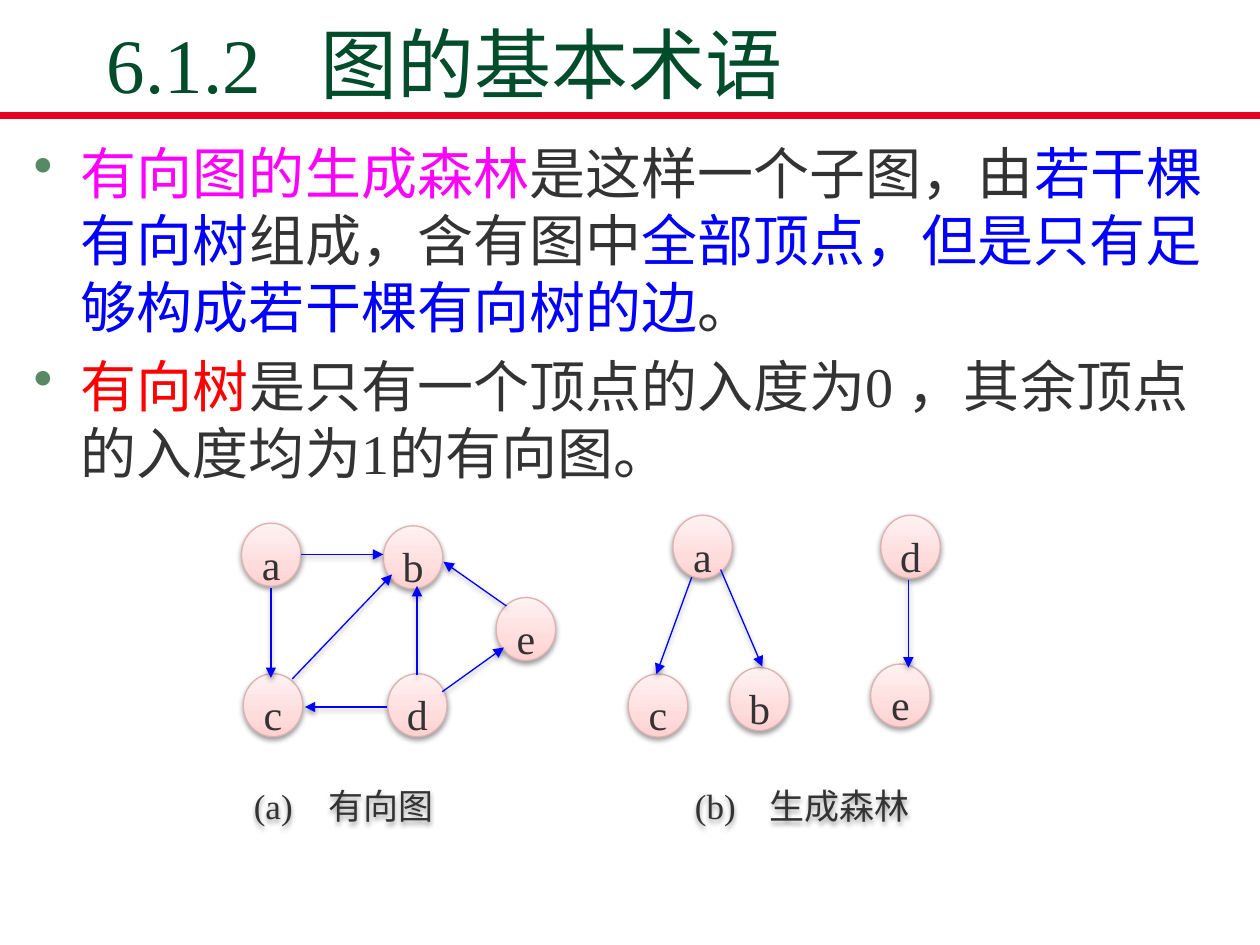
from copy import deepcopy
from dataclasses import dataclass

from lxml.etree import SubElement
from pptx import Presentation
from pptx.dml.color import RGBColor
from pptx.enum.shapes import MSO_CONNECTOR, MSO_SHAPE
from pptx.enum.text import MSO_ANCHOR, PP_ALIGN
from pptx.oxml.ns import qn
from pptx.util import Pt


@dataclass(frozen=True)
class Theme:
    font: str = "Times New Roman"
    title: str = "004C2B"
    rule: str = "E60223"
    ink: str = "333333"
    pink: str = "FF00FF"
    blue: str = "0000FF"
    red: str = "FF0000"
    bullet: str = "578963"
    rim: str = "DDB2B2"
    stops: tuple = ((0, "FFD0D0"), (0.35, "FFDDDD"), (1, "FFF2F2"))
    head: int = 44
    body: int = 32
    label: int = 24
    note: int = 20


THEME = Theme()
NODE = (34, 36)
GRAPH = {
    "nodes": {"a": (0, 0), "b": (81, 1.5), "c": (1, 86), "d": (83.5, 86), "e": (145.5, 42.5)},
    "edges": [
        (16.8, 37.2, 16.8, 88.4), (100.3, 87, 100.3, 35.8),
        (34, 17.8, 81, 17.8), (83, 105, 36.2, 105),
        (29, 89, 86, 29.3), (114.7, 96.3, 150, 71),
        (151.4, 47.3, 115.4, 22),
    ],
    "note": ("(a)\t有向图", 0, 139, 128, 36),
}
FOREST = {
    "nodes": {"a": (25.5, 0), "b": (58, 87), "c": (0, 90.7), "d": (144.3, 0), "e": (138.5, 85)},
    "edges": [
        (36.3, 35.3, 16.1, 90.7), (52.8, 31, 76.6, 86.4),
        (160.1, 36.7, 160.1, 87),
    ],
    "note": ("(b)\t生成森林", 31, 143.3, 157, 36),
}
POINTS = [
    [
        ("有向图的生成森林", THEME.pink), ("是这样一个子图，由", THEME.ink),
        ("若干棵有向树", THEME.blue), ("组成，含有图中", THEME.ink),
        ("全部顶点，但是只有足够构成若干棵有向树的边", THEME.blue), ("。", THEME.ink),
    ],
    [
        ("有向树", THEME.red),
        ("是只有一个顶点的入度为0 ，其余顶点的入度均为1的有向图。", THEME.ink),
    ],
]


def style(font, size, color):
    font.name = THEME.font
    font.size = Pt(size)
    font.color.rgb = RGBColor.from_string(color)


def add_tab(para, place):
    tabs = SubElement(para._p.get_or_add_pPr(), qn("a:tabLst"))
    SubElement(tabs, qn("a:tab"), pos=str(Pt(place)), algn="l")


def add_shade(effects):
    shade = SubElement(effects, qn("a:outerShdw"), blurRad=str(Pt(3.1)),
                       dist=str(Pt(1.6)), dir="5400000", rotWithShape="0")
    color = SubElement(shade, qn("a:srgbClr"), val="000000")
    SubElement(color, qn("a:alpha"), val="38000")


def shade_shape(shape):
    shape.shadow.inherit = False
    add_shade(shape._element.spPr.find(qn("a:effectLst")))


def add_line(slide, ends, color, width):
    line = slide.shapes.add_connector(MSO_CONNECTOR.STRAIGHT, *map(Pt, ends))
    line.line.color.rgb = RGBColor.from_string(color)
    line.line.width = Pt(width)
    return line, SubElement(line._element.spPr, qn("a:effectLst"))


def add_title(slide, left, top, width, height):
    frame = slide.shapes.add_textbox(*map(Pt, (left, top, width, height))).text_frame
    frame.word_wrap = True
    frame.vertical_anchor = MSO_ANCHOR.BOTTOM
    frame.text = "6.1.2\t图的基本术语"
    para = frame.paragraphs[0]
    add_tab(para, 122)
    style(para.runs[0].font, THEME.head, THEME.title)
    add_line(slide, (0, top + height + 0.5, 720, top + height + 0.5), THEME.rule, 4.5)


def add_body(slide, left, top, width, height):
    frame = slide.shapes.add_textbox(*map(Pt, (left, top, width, height))).text_frame
    frame.word_wrap = True
    for index, parts in enumerate(POINTS):
        para = frame.add_paragraph() if index else frame.paragraphs[0]
        if index:
            para.space_before = Pt(6.4)
        props = para._p.get_or_add_pPr()
        props.set("marL", str(Pt(27)))
        props.set("indent", str(Pt(-27)))
        tint = SubElement(props, qn("a:buClr"))
        SubElement(tint, qn("a:srgbClr"), val=THEME.bullet)
        SubElement(props, qn("a:buChar"), char="•")
        for text, color in parts:
            run = para.add_run()
            run.text = text
            style(run.font, THEME.body, color)


def add_node(slide, name, left, top):
    node = slide.shapes.add_shape(MSO_SHAPE.OVAL, *map(Pt, (left, top, *NODE)))
    fill = node.fill
    fill.gradient()
    fill.gradient_angle = 90
    stops = node._element.spPr.find(qn("a:gradFill")).find(qn("a:gsLst"))
    stops.insert(1, deepcopy(stops[0]))
    for stop, (place, color) in zip(fill.gradient_stops, THEME.stops):
        stop.position = place
        stop.color.rgb = RGBColor.from_string(color)
    node.line.color.rgb = RGBColor.from_string(THEME.rim)
    node.line.width = Pt(0.75)
    shade_shape(node)
    fill_label(node, name, THEME.label, 0)
    node.text_frame.paragraphs[0].alignment = PP_ALIGN.CENTER


def fill_label(shape, text, size, inset):
    frame = shape.text_frame
    frame.word_wrap = False
    frame.vertical_anchor = MSO_ANCHOR.MIDDLE
    frame.margin_left = frame.margin_right = Pt(inset)
    frame.margin_top, frame.margin_bottom = Pt(4), 0
    frame.text = text
    para = frame.paragraphs[0]
    para.line_spacing = 1.2
    style(para.runs[0].font, size, THEME.ink)


def add_edge(slide, ends):
    edge, effects = add_line(slide, ends, THEME.blue, 0.75)
    add_shade(effects)
    SubElement(edge.line._get_or_add_ln(), qn("a:tailEnd"), type="triangle")


def add_graph(slide, graph, left, top):
    for name, (x, y) in graph["nodes"].items():
        add_node(slide, name, left + x, top + y)
    for x1, y1, x2, y2 in graph["edges"]:
        add_edge(slide, (left + x1, top + y1, left + x2, top + y2))
    text, x, y, width, height = graph["note"]
    note = slide.shapes.add_textbox(*map(Pt, (left + x, top + y, width, height)))
    fill_label(note, text, THEME.note, 7.2)
    add_tab(note.text_frame.paragraphs[0], 42.5)
    shade_shape(note)


def main():
    deck = Presentation()
    deck.slide_width, deck.slide_height = Pt(720), Pt(540)
    slide = deck.slides.add_slide(deck.slide_layouts[6])
    add_title(slide, 54, 18.7, 612, 46.8)
    add_body(slide, 12.2, 75.6, 696.2, 186.5)
    add_graph(slide, GRAPH, 138, 299)
    add_graph(slide, FOREST, 359, 294.5)
    deck.save("out.pptx")


if __name__ == "__main__":
    main()
